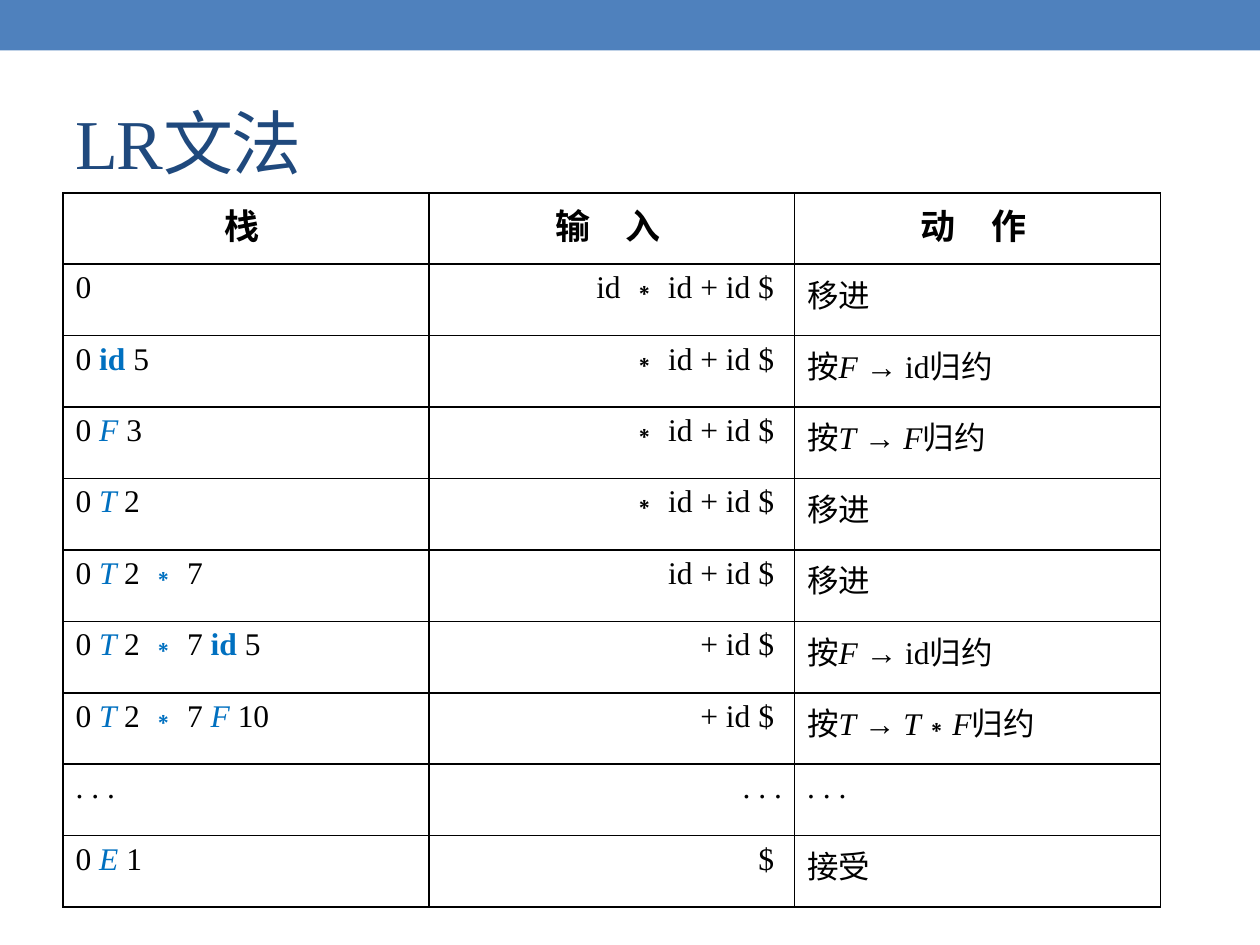
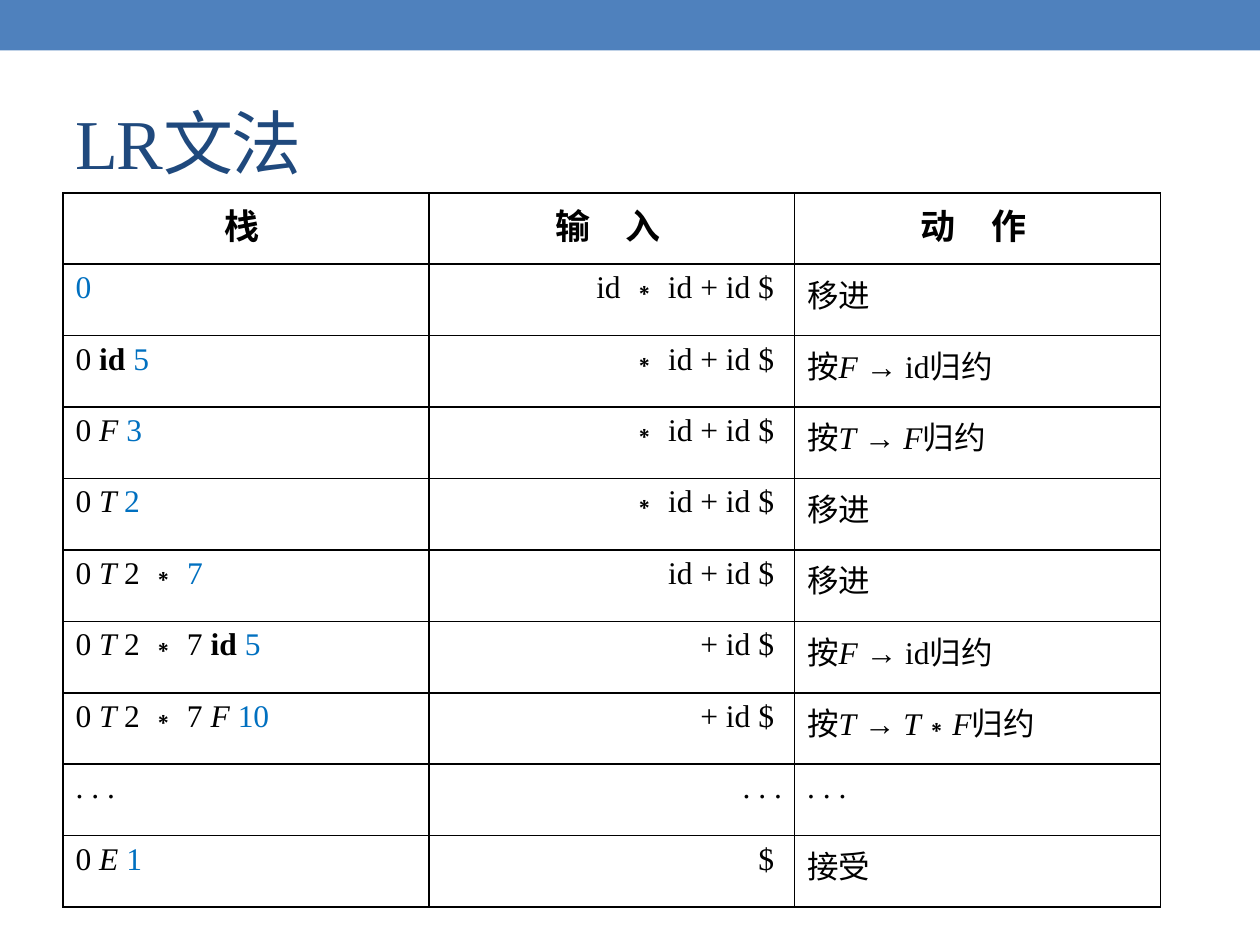
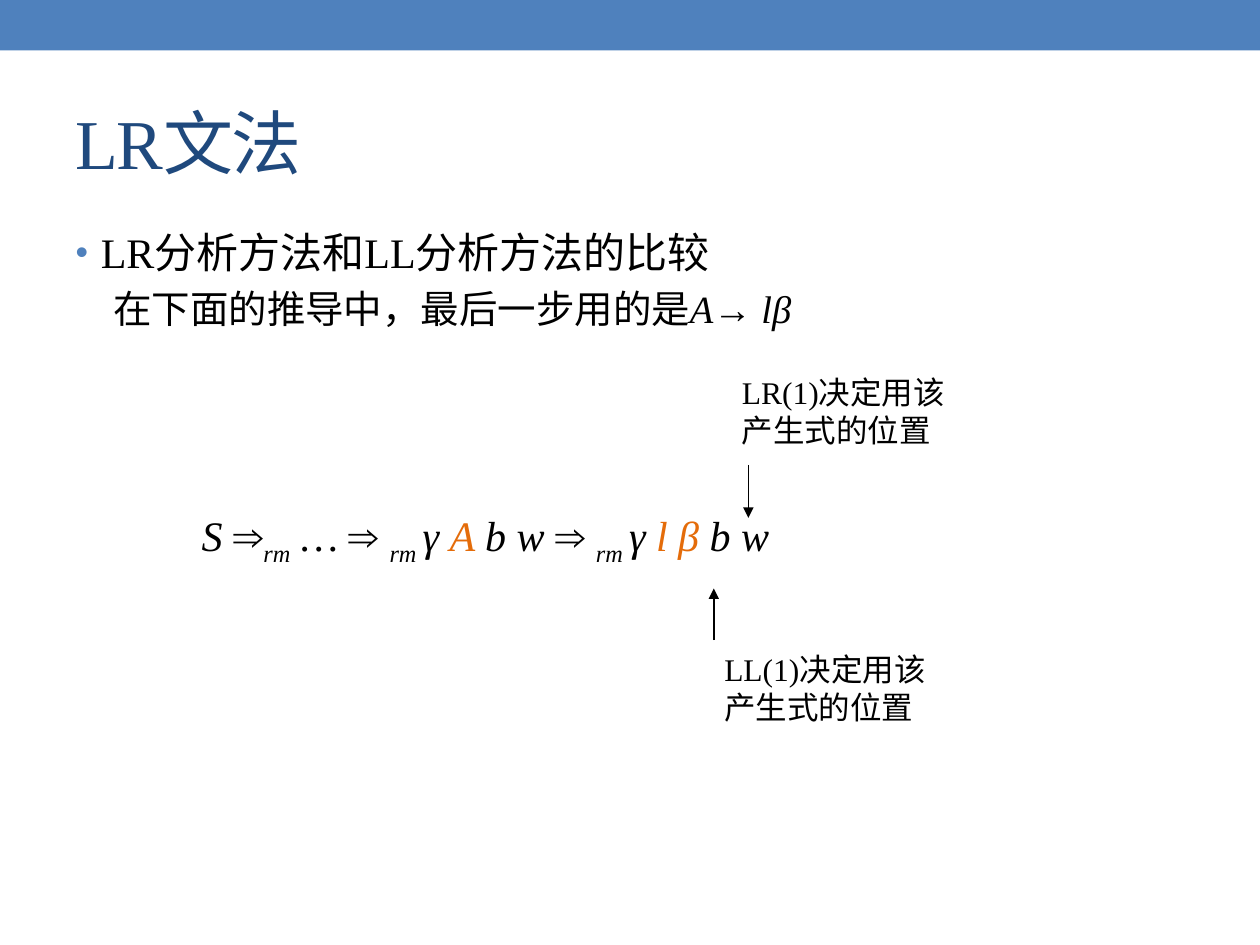
"""Build three slides on LR grammars: two parsing traces and a comparison with LL."""
from dataclasses import dataclass
from itertools import groupby

from lxml import etree
from pptx import Presentation
from pptx import util as u
from pptx.dml.color import RGBColor
from pptx.enum import shapes, text
from pptx.oxml.ns import qn


@dataclass(frozen=True)
class Theme:
    font: str = "Times New Roman"
    band: str = "4F81BD"
    title: str = "1F497D"
    ink: str = "000000"
    blue: str = "0070C0"
    orange: str = "E46C0A"
    title_size: int = 40
    lead_size: int = 24
    detail_size: int = 22
    header_size: int = 20
    body_size: int = 18


theme = Theme()
deck = Presentation()
deck.slide_width, deck.slide_height = u.Inches(10), u.Inches(7.5)
column, row = deck.slide_width / 100, deck.slide_height / 100


def area(left, top, width, height):
    return [u.Emu(round(n * unit)) for n, unit in
            zip((left, top, width, height), (column, row, column, row))]


def write(paragraph, pieces, size, color=theme.ink):
    """Add runs from (text, marks): b bold, i italic, s subscript, h blue, o orange."""
    for words, marks in pieces:
        run = paragraph.add_run()
        run.text = words
        run.font.name, run.font.size = theme.font, u.Pt(size)
        run.font.bold, run.font.italic = "b" in marks, "i" in marks
        shade = theme.blue if "h" in marks else theme.orange if "o" in marks else color
        run.font.color.rgb = RGBColor.from_string(shade)
        if "s" in marks:
            run.font._element.set("baseline", "-25000")


TITLE_AND_CONTENT, TITLE_ONLY = 1, 5
slides = [deck.slides.add_slide(deck.slide_layouts[n])
          for n in (TITLE_ONLY, TITLE_ONLY, TITLE_AND_CONTENT)]

band = slides[0].shapes.add_shape(shapes.MSO_SHAPE.RECTANGLE, *area(0, 0, 100, 5.33))
band.shadow.inherit = False
band.fill.solid()
band.fill.fore_color.rgb = RGBColor.from_string(theme.band)
band.line.fill.background()
deck.slide_master.shapes.element.insert(2, band.element)

for slide in slides:
    title = slide.shapes.title
    title.left, title.top, title.width, title.height = area(5, 7.73, 90, 14.4)
    title.text_frame.vertical_anchor = text.MSO_ANCHOR.MIDDLE
    title.text_frame.auto_size = text.MSO_AUTO_SIZE.NONE
    heading = title.text_frame.paragraphs[0]
    heading.alignment = text.PP_ALIGN.LEFT
    write(heading, [("LR文法", "")], theme.title_size, theme.title)
    heading.runs[0].font._element.set("spc", "-100")

headers = ["栈 ", "输\u3000入 ", "动\u3000作 "]
trace = [
    ("0", "id ∗ id + id $ ", "移进 "),
    ("0 id 5", "∗ id + id $ ", "按F → id归约 "),
    ("0 F 3", "∗ id + id $ ", "按T → F归约 "),
    ("0 T 2", "∗ id + id $ ", "移进 "),
    ("0 T 2 ∗ 7", "id + id $ ", "移进 "),
    ("0 T 2 ∗ 7 id 5", "+ id $ ", "按F → id归约 "),
    ("0 T 2 ∗ 7 F 10", "+ id $ ", "按T → T∗F归约 "),
    (". . .", ". . .", ". . ."),
    ("0 E 1", "$ ", "接受 "),
]
alignments = [text.PP_ALIGN.LEFT, text.PP_ALIGN.RIGHT, text.PP_ALIGN.LEFT]

for slide, emphasis in zip(slides, ("symbols", "top state")):
    table = slide.shapes.add_table(len(trace) + 1, len(headers),
                                   *area(5, 20.4, 87.1, 75.6)).table
    table.first_row = table.horz_banding = False
    for cell in table.iter_cells():
        cell.fill.background()
        for side in ("lnL", "lnR", "lnT", "lnB"):
            border = etree.Element(qn(f"a:{side}"), w=str(u.Pt(1)))
            paint = etree.SubElement(border, qn("a:solidFill"))
            etree.SubElement(paint, qn("a:srgbClr"), val=theme.ink)
            properties = cell._tc.get_or_add_tcPr()
            properties.insert(len(properties) - 1, border)

    for index, header in enumerate(headers):
        paragraph = table.cell(0, index).text_frame.paragraphs[0]
        paragraph.alignment = text.PP_ALIGN.CENTER
        write(paragraph, [(header, "b")], theme.header_size)

    for number, (stack, remaining, action) in enumerate(trace, 1):
        items = stack.split()
        stack_runs = []
        for place, item in enumerate(items):
            is_symbol = place % 2 == 1
            marks = "b" if item == "id" else "i" if item.isupper() else ""
            if emphasis == "symbols":
                highlighted = is_symbol
            else:
                highlighted = place == len(items) - 1
            stack_runs.append((item + " ", marks + "h" * highlighted))
        if stack == ". . .":
            stack_runs = [(stack, "")]
        action_runs = [("".join(letters), "i" * upper)
                       for upper, letters in groupby(action, str.isupper)]
        contents = (stack_runs, [(remaining, "")], action_runs)
        for index, (pieces, alignment) in enumerate(zip(contents, alignments)):
            paragraph = table.cell(number, index).text_frame.paragraphs[0]
            paragraph.alignment = alignment
            write(paragraph, pieces, theme.body_size)

comparison = slides[2]
body = comparison.placeholders[1]
body.left, body.top, body.width, body.height = area(5, 23.33, 90, 71.07)
body.text_frame.auto_size = text.MSO_AUTO_SIZE.NONE
topic = body.text_frame.paragraphs[0]
detail, derivation = [body.text_frame.add_paragraph() for _ in range(2)]
detail.level = 1
derivation.space_before = u.Pt(102)
for paragraph, margin, indent in ((topic, 0.2, -0.2), (detail, 0.3, 0), (derivation, 1, 0)):
    properties = paragraph._p.get_or_add_pPr()
    properties.set("marL", str(u.Inches(margin)))
    properties.set("indent", str(u.Inches(indent)))
    if paragraph is topic:
        bullet_color = etree.SubElement(properties, qn("a:buClr"))
        etree.SubElement(bullet_color, qn("a:srgbClr"), val=theme.band)
        etree.SubElement(properties, qn("a:buSzPct"), val="85000")
        etree.SubElement(properties, qn("a:buFont"), typeface="Arial")
        etree.SubElement(properties, qn("a:buChar"), char="•")
    else:
        etree.SubElement(properties, qn("a:buNone"))

write(topic, [("LR分析方法和LL分析方法的比较", "")], theme.lead_size)
write(detail, [("在下面的推导中，最后一步用的是", ""), ("A", "i"), ("→ ", ""), ("lβ", "i")],
      theme.detail_size)
write(derivation, [
    ("S ", "i"), ("⇒", ""), ("rm", "is"), (" … ", "i"),
    ("⇒ ", ""), ("rm ", "is"), ("γ ", "i"), ("A ", "io"), ("b w ", "i"),
    ("⇒ ", ""), ("rm ", "is"), ("γ ", "i"), ("l β", "io"), (" b w ", "i"),
], theme.lead_size)

notes = [
    ("LL(1)", area(56.5, 68.13, 25.8, 14.4), area(56.65, 67.73, 56.65, 62.27)),
    ("LR(1)", area(57.9, 38.8, 20.9, 10.4), area(59.4, 49.2, 59.4, 54.8)),
]
for method, place, ends in notes:
    note = comparison.shapes.add_textbox(*place)
    note.text_frame.word_wrap = True
    lines = (note.text_frame.paragraphs[0], note.text_frame.add_paragraph())
    for paragraph, words in zip(lines, (f"{method}决定用该", "产生式的位置")):
        write(paragraph, [(words, "")], theme.body_size)
    arrow = comparison.shapes.add_connector(shapes.MSO_CONNECTOR.STRAIGHT, *ends)
    arrow.line.color.rgb = RGBColor.from_string(theme.ink)
    arrow.line.width = u.Pt(1)
    outline = arrow.element.spPr.find(qn("a:ln"))
    etree.SubElement(outline, qn("a:tailEnd"), type="triangle")
    etree.SubElement(arrow.element.spPr, qn("a:effectLst"))

deck.save("out.pptx")
